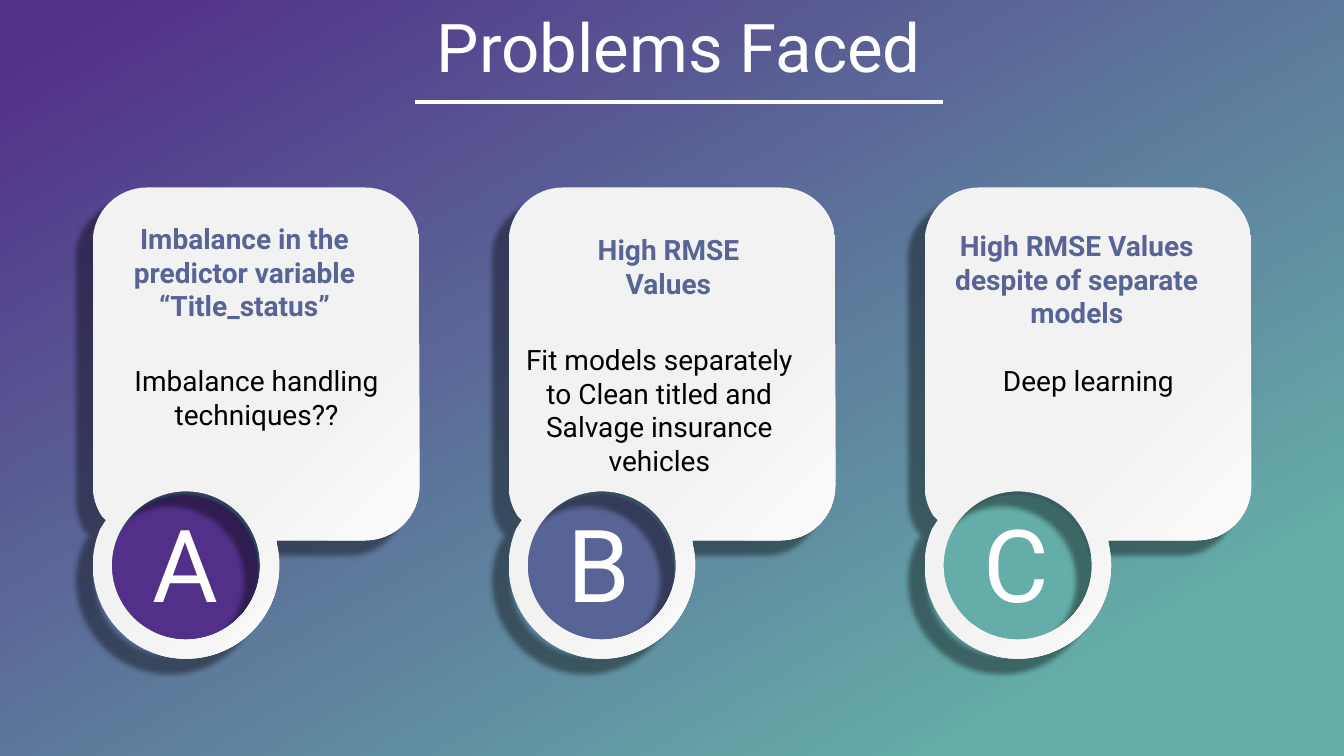
import math

import pptx
import pptx.dml.color
import pptx.enum.shapes
import pptx.enum.text
import pptx.util
from lxml import etree
from pptx.oxml.ns import qn

In = pptx.util.Inches
Pt = pptx.util.Pt
SHAPE = pptx.enum.shapes.MSO_SHAPE
ALIGN = pptx.enum.text.PP_ALIGN
ANCHOR = pptx.enum.text.MSO_ANCHOR

W, H = 13.33, 7.5
FONT = "Roboto"
WHITE, BLACK, SLATE = "FFFFFF", "000000", "586496"
PURPLE, TEAL = "523089", "65ADA8"

CARD_LEFT, CARD_TOP, CARD_PITCH = 0.92, 1.86, 4.125
CARD_W, CARD_H, CORNER = 3.24, 3.5, 0.54
RING_X, RING_Y, RING_R, HOLE_R = 0.925, 3.75, 0.925, 0.735

# Text boxes are left, top, width, height, measured from the card's corner.
CARDS = [
    dict(letter="A", color=PURPLE, edge="325491",
         heading="Imbalance in the predictor variable “Title_status”",
         heading_box=(0.05, 0.29, 2.91, 1.11),
         body="Imbalance handling techniques??",
         body_box=(0.17, 1.7, 2.91, 0.77)),
    dict(letter="B", color=SLATE, edge=None,
         heading="High RMSE Values",
         heading_box=(0.34, 0.4, 2.49, 0.77),
         body="Fit models separately to Clean titled and Salvage insurance vehicles",
         body_box=(0.04, 1.49, 2.91, 1.45)),
    dict(letter="C", color=TEAL, edge=None,
         heading="High RMSE Values despite of separate models",
         heading_box=(0.17, 0.36, 2.68, 1.11),
         body="Deep learning",
         body_box=(0.17, 1.7, 2.91, 0.44)),
]


def rgb(value):
    return pptx.dml.color.RGBColor.from_string(value)


def fill_gradient(sp, stops, clockwise):
    sp.fill.gradient()
    sp.fill.gradient_angle = 360 - clockwise
    for stop, (position, color) in zip(sp.fill.gradient_stops, stops):
        stop.position = position
        stop.color.rgb = rgb(color)


def add_shadow(sp):
    effects = sp._element.spPr.find(qn("a:effectLst"))
    shadow = etree.SubElement(effects, qn("a:outerShdw"), blurRad=str(Pt(4)),
                              dist=str(Pt(16)), dir=str(138 * 60000),
                              algn="ctr", rotWithShape="0")
    color = etree.SubElement(shadow, qn("a:srgbClr"), val=BLACK)
    etree.SubElement(color, qn("a:alpha"), val="40000")


def format_text(tf, text, size, color, bold=False, align=ALIGN.CENTER):
    tf.word_wrap = True
    tf.vertical_anchor = ANCHOR.TOP
    p = tf.paragraphs[0]
    p.text = text
    p.alignment = align
    p.font.name = FONT
    p.font.size = Pt(size)
    p.font.bold = bold
    p.font.color.rgb = rgb(color)


def add_text(slide, x, y, box, *args, **options):
    left, top, width, height = box
    sp = slide.shapes.add_textbox(In(x + left), In(y + top), In(width), In(height))
    sp.text_frame.auto_size = pptx.enum.text.MSO_AUTO_SIZE.SHAPE_TO_FIT_TEXT
    format_text(sp.text_frame, *args, **options)


def arc(cx, cy, radius, *degrees):
    """Bezier segments through the given degrees, clockwise from the right."""
    segments = []
    for a, b in zip(degrees, degrees[1:]):
        a, b = math.radians(a), math.radians(b)
        k = 4 / 3 * math.tan((b - a) / 4)
        unit = [(math.cos(a) - k * math.sin(a), math.sin(a) + k * math.cos(a)),
                (math.cos(b) + k * math.sin(b), math.sin(b) - k * math.cos(b)),
                (math.cos(b), math.sin(b))]
        segments.append([(cx + radius * ux, cy + radius * uy) for ux, uy in unit])
    return segments


def line(x, y):
    return [[(x, y)]]


def bend_lines(sp, segments):
    """Turn the lines whose segments hold control points into curves."""
    for ln, (*controls, _) in zip(list(sp._element.iter(qn("a:lnTo"))), segments):
        if controls:
            curve = etree.Element(qn("a:cubicBezTo"))
            for px, py in controls:
                etree.SubElement(curve, qn("a:pt"), x=str(In(px)), y=str(In(py)))
            curve.append(ln[0])
            ln.getparent().replace(ln, curve)


def add_card_frame(slide, x, y):
    """Rounded card joined to a ring at its lower left corner."""
    right, bottom = CARD_W - CORNER, CARD_H - CORNER
    hole = arc(RING_X, RING_Y, HOLE_R, 270, 180, 90, 0, -90)
    outline = (line(right, 0)
               + arc(right, CORNER, CORNER, 270, 360)
               + line(CARD_W, bottom)
               + arc(right, bottom, CORNER, 0, 90)
               + line(1.82, CARD_H) + line(1.83, 3.56)
               + arc(RING_X, RING_Y, RING_R, -12, 0, 90, 180, 203)
               + line(0.13, 3.3) + line(0.09, 3.26)
               + arc(CORNER, bottom, CORNER, 146, 180)
               + line(0, CORNER)
               + arc(CORNER, CORNER, CORNER, 180, 270))
    hole_ends, outline_ends = ([(In(x + s[-1][0]), In(y + s[-1][1])) for s in segments]
                               for segments in (hole, outline))
    builder = slide.shapes.build_freeform(*hole_ends[-1])
    builder.add_line_segments(hole_ends, close=True)
    builder.move_to(*outline_ends[-1])
    builder.add_line_segments(outline_ends, close=True)
    sp = builder.convert_to_shape()
    bend_lines(sp, hole + outline)
    sp.shadow.inherit = False
    fill_gradient(sp, [(0.54, "F2F2F2"), (1, WHITE)], 45)
    sp.line.fill.background()
    add_shadow(sp)


def add_card(slide, x, y, card):
    sp = slide.shapes.add_shape(SHAPE.OVAL, In(x + 0.17), In(y + 3.05), In(1.47), In(1.47))
    sp.shadow.inherit = False
    sp.fill.solid()
    sp.fill.fore_color.rgb = rgb(card["color"])
    if card["edge"]:
        sp.line.color.rgb = rgb(card["edge"])
        sp.line.width = Pt(1)
    else:
        sp.line.fill.background()
    add_card_frame(slide, x, y)
    add_text(slide, x, y, (0.49, 3.07, 0.53, 1.31), card["letter"], 72, WHITE,
             align=ALIGN.LEFT)
    add_text(slide, x, y, card["heading_box"], card["heading"], 20, SLATE, bold=True)
    add_text(slide, x, y, card["body_box"], card["body"], 20, BLACK)


def add_backdrop(slide):
    sp = slide.shapes.add_shape(SHAPE.RECTANGLE, 0, 0, In(W), In(H))
    sp.shadow.inherit = False
    fill_gradient(sp, [(0.04, PURPLE), (0.85, TEAL)], 60)
    sp.line.fill.background()
    slide.shapes._spTree.insert(2, sp._element)  # behind the title


def add_title(slide, left, top, width, height):
    title = slide.shapes.title
    title.left, title.top, title.width, title.height = map(In, (left, top, width, height))
    format_text(title.text_frame, "Problems Faced", 48, WHITE)
    rule_y = In(top + height + 0.1)
    rule = slide.shapes.add_connector(pptx.enum.shapes.MSO_CONNECTOR.STRAIGHT,
                                      In(left + 0.24), rule_y,
                                      In(left + width - 0.24), rule_y)
    rule.line.color.rgb = rgb(WHITE)
    rule.line.width = Pt(3)
    etree.SubElement(rule._element.spPr, qn("a:effectLst"))


def main():
    prs = pptx.Presentation()
    prs.slide_width, prs.slide_height = In(W), In(H)
    slide = prs.slides.add_slide(prs.slide_layouts[5])
    add_backdrop(slide)
    add_title(slide, 3.88, 0, 5.71, 0.91)
    for column, card in enumerate(CARDS):
        add_card(slide, CARD_LEFT + column * CARD_PITCH, CARD_TOP, card)
    prs.save("out.pptx")


if __name__ == "__main__":
    main()
